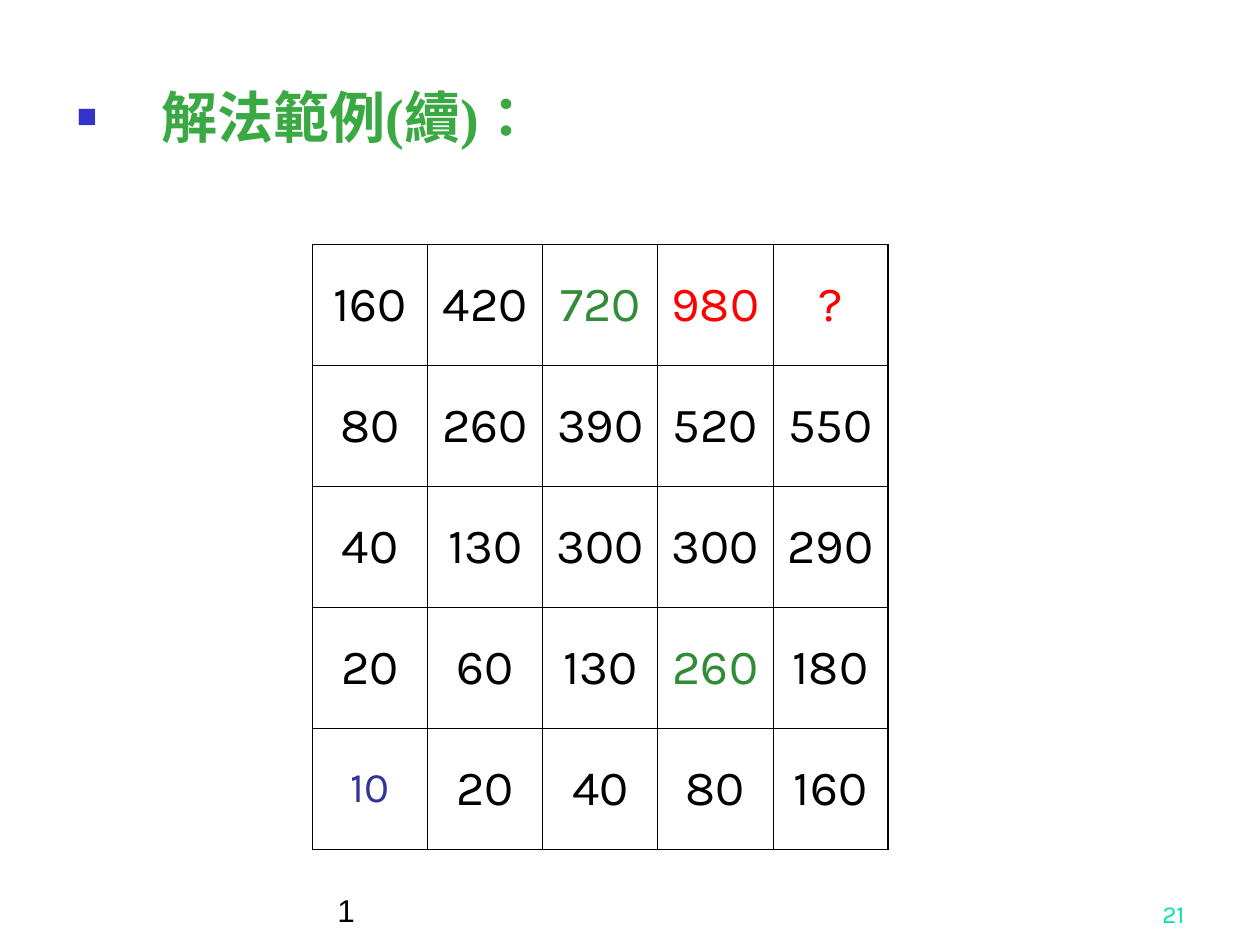
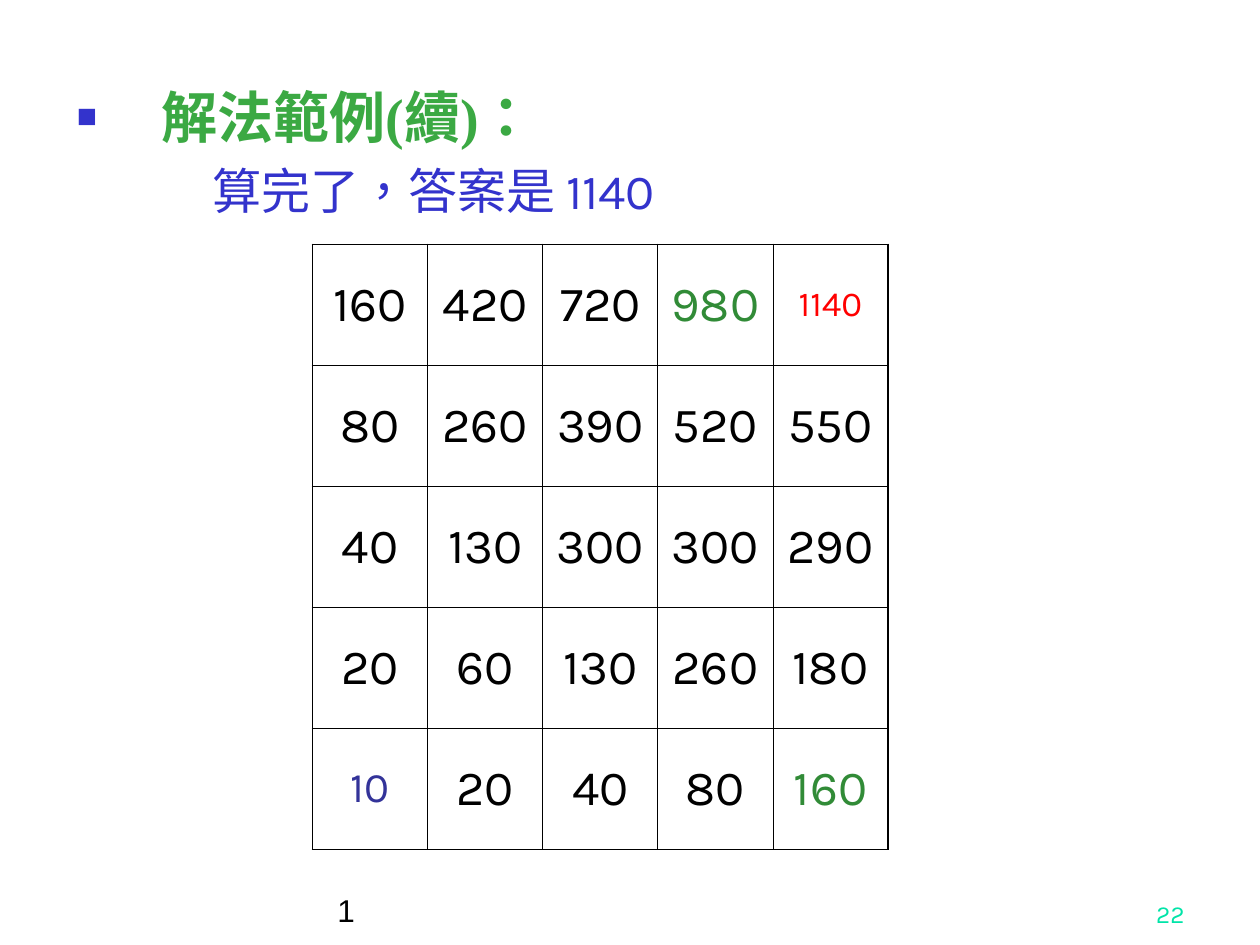
from lxml import etree
from pptx import Presentation
from pptx.dml.color import RGBColor
from pptx.enum import lang, text
from pptx.oxml import ns
from pptx.util import Pt

COLORS = {
    "heading": "3BA943", "accent": "3333CC", "ink": "000000", "paper": "FFFFFF",
    "source": "318B37", "current": "FF0000", "start": "333399", "page": "00E4A8",
}
SERIF, SANS, FOOTER = "Times New Roman", "Karla", "Arial"

# Boxes: left, top, width, height in points
HEADING_BOX = (36.75, 43.25, 646.5, 46)
ANSWER_BOX = (114.5, 88, 500, 44)
GRID_BOX = (178.5, 139.75, 329, 345.75)
FOOTER_BOX = (185.75, 498.25, 390.25, 36)
PAGE_BOX = (534.25, 498.25, 149.75, 36)

# Values both slides share; each slide replaces some and colours others
PATH_SUMS = [
    ["160", "420", "720", "980", "?"],
    ["80", "260", "390", "520", "550"],
    ["40", "130", "300", "300", "290"],
    ["20", "60", "130", "260", "180"],
    ["10", "20", "40", "80", "160"],
]
START, GOAL = (4, 0), (0, 4)
SMALL_SIZES = {"10": 24, "1140": 20}
THIN, THICK = 0.45, 1.08


def color(key):
    return RGBColor.from_string(COLORS[key])


def style(paragraph, font_name, size, color_key, bold=False,
          align=text.PP_ALIGN.LEFT):
    paragraph.alignment = align
    for run in paragraph.runs:
        font = run.font
        font.name, font.size, font.bold = font_name, Pt(size), bold
        font.color.rgb = color(color_key)
        font.language_id = lang.MSO_LANGUAGE_ID.TRADITIONAL_CHINESE


def add_label(slide, box, words, anchor, *look, **options):
    frame = slide.shapes.add_textbox(*map(Pt, box)).text_frame
    frame.word_wrap = True
    frame.vertical_anchor = anchor
    frame.text = words
    style(frame.paragraphs[0], *look, **options)


def add_square_bullet(paragraph, indent):
    props = paragraph._p.get_or_add_pPr()
    props.set("marL", str(Pt(indent)))
    props.set("indent", str(-Pt(indent)))
    bullet_color = etree.SubElement(props, ns.qn("a:buClr"))
    etree.SubElement(bullet_color, ns.qn("a:srgbClr"), val=COLORS["accent"])
    etree.SubElement(props, ns.qn("a:buSzPct"), val="60000")
    etree.SubElement(props, ns.qn("a:buFont"), typeface=FOOTER)
    etree.SubElement(props, ns.qn("a:buChar"), char="■")


def place_heading(slide, box):
    heading = slide.shapes.title
    heading.left, heading.top, heading.width, heading.height = map(Pt, box)
    frame = heading.text_frame
    frame.text = "解法範例(續)："
    frame.word_wrap = True
    frame.auto_size = text.MSO_AUTO_SIZE.NONE
    frame.vertical_anchor = text.MSO_ANCHOR.TOP
    add_square_bullet(frame.paragraphs[0], 48.25)
    style(frame.paragraphs[0], SERIF, 32, "heading", bold=True)


def set_borders(cell, widths):
    props = cell._tc.get_or_add_tcPr()
    for position, (side, width) in enumerate(widths.items()):
        line = etree.Element(ns.qn(f"a:{side}"), w=str(Pt(width)))
        fill = etree.SubElement(line, ns.qn("a:solidFill"))
        etree.SubElement(fill, ns.qn("a:srgbClr"), val=COLORS["ink"])
        props.insert(position, line)


def place_grid(slide, box, changes, highlights):
    count = len(PATH_SUMS)
    last = count - 1
    table = slide.shapes.add_table(count, count, *map(Pt, box)).table
    table.first_row = table.horz_banding = False
    for column in table.columns:
        column.width = Pt(box[2] / count)
    for r, row in enumerate(PATH_SUMS):
        table.rows[r].height = Pt(box[3] / count)
        for c, shared_value in enumerate(row):
            value = changes.get((r, c), shared_value)
            cell = table.cell(r, c)
            cell.text = value
            cell.vertical_anchor = text.MSO_ANCHOR.MIDDLE
            cell.fill.solid()
            cell.fill.fore_color.rgb = color("paper")
            style(cell.text_frame.paragraphs[0], SANS, SMALL_SIZES.get(value, 28),
                  highlights.get((r, c), "ink"), align=text.PP_ALIGN.CENTER)
            # Outer edges are heavier than inner ones
            set_borders(cell, {
                "lnL": THICK if c == 0 else THIN,
                "lnR": THICK if c == last else THIN,
                "lnT": THICK if r == 0 else THIN,
                "lnB": THICK if r == last else THIN,
            })


def place_footer(slide, page):
    bottom = text.MSO_ANCHOR.BOTTOM
    add_label(slide, FOOTER_BOX, "1", bottom, FOOTER, 18, "ink")
    add_label(slide, PAGE_BOX, page, bottom, SANS, 14, "page",
              align=text.PP_ALIGN.RIGHT)


def add_step(deck, page, highlights, changes=None, answer=None):
    slide = deck.slides.add_slide(deck.slide_layouts[5])
    place_heading(slide, HEADING_BOX)
    if answer:
        add_label(slide, ANSWER_BOX, answer, text.MSO_ANCHOR.TOP,
                  SANS, 28, "accent")
    place_grid(slide, GRID_BOX, changes or {}, {START: "start", **highlights})
    place_footer(slide, page)


def main():
    deck = Presentation()
    deck.slide_width, deck.slide_height = Pt(720), Pt(540)
    # Second-last sum found
    add_step(deck, "21", {(0, 2): "source", (3, 3): "source",
                          (0, 3): "current", GOAL: "current"})
    # Final answer
    add_step(deck, "22", {(0, 3): "source", (4, 4): "source", GOAL: "current"},
             changes={GOAL: "1140"}, answer="算完了，答案是 1140")
    deck.save("out.pptx")


if __name__ == "__main__":
    main()
